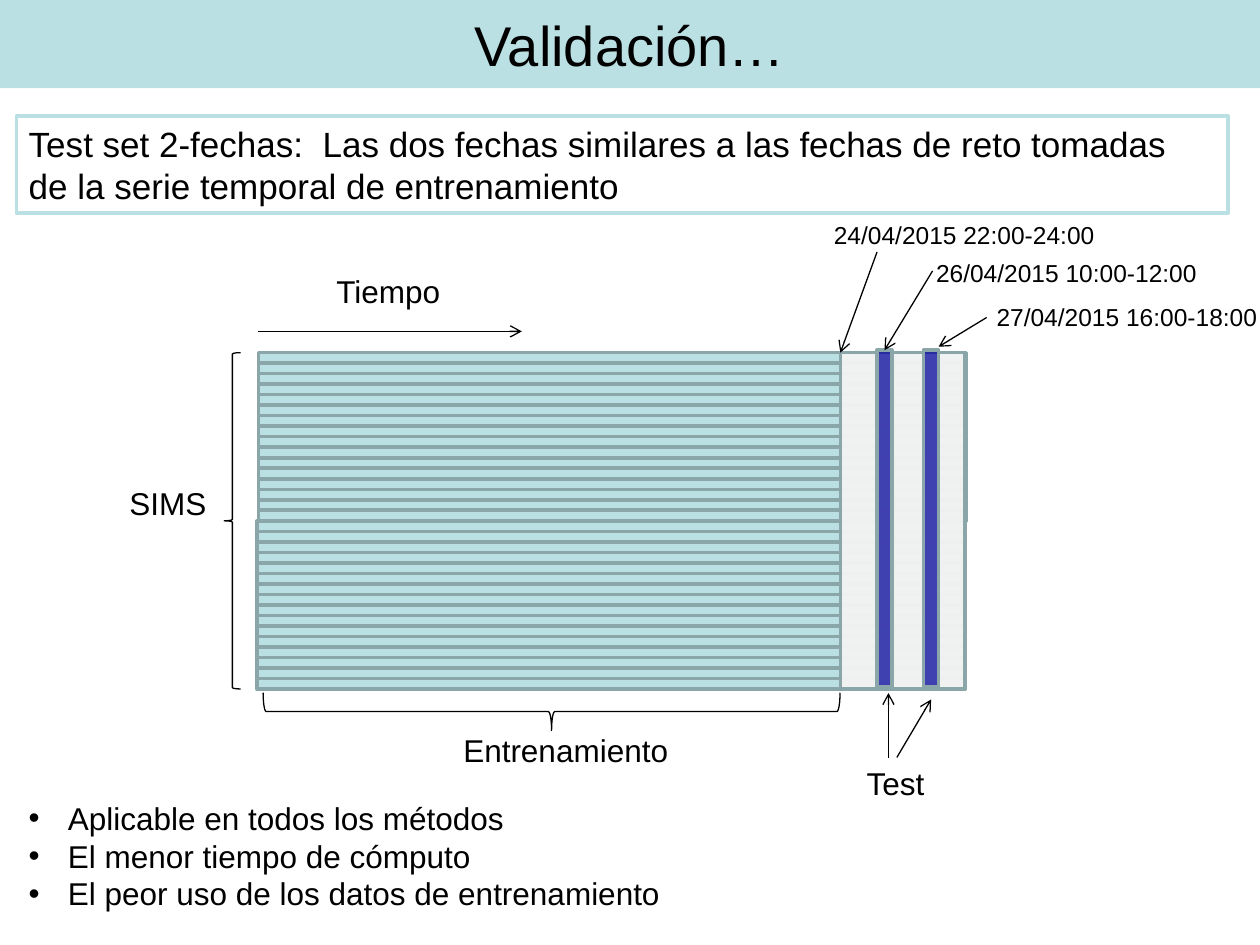
from lxml import etree
from pptx import Presentation
from pptx import util as u
from pptx.dml import color
from pptx.enum import shapes, text
from pptx.oxml import ns

Cm = u.Cm
hues = {"aqua": "BBE0E3", "edge": "8AA6A8", "pale": "F2F2F2",
        "navy": "000099", "black": "000000", "white": "FFFFFF"}


def write(frame, words, size=18, align=text.PP_ALIGN.LEFT, wrap=False, bullet=False):
    frame.word_wrap = wrap
    for n, line in enumerate(words.split("\n")):
        para = frame.add_paragraph() if n else frame.paragraphs[0]
        para.text = line
        para.alignment = align
        if bullet:
            props = para._p.get_or_add_pPr()
            props.set("marL", str(Cm(0.79)))
            props.set("indent", str(-Cm(0.79)))
            etree.SubElement(props, ns.qn("a:buFont")).set("typeface", "Arial")
            etree.SubElement(props, ns.qn("a:buChar")).set("char", "•")
        para.font.size = u.Pt(size)
        para.font.name = "Arial"
        para.font.color.rgb = color.RGBColor.from_string(hues["black"])


def draw(kind, box, fill=None, edge="edge", width=2, alpha=None):
    shape = slide.shapes.add_shape(kind, *map(Cm, box))
    shape.shadow.inherit = False
    if fill:
        shape.fill.solid()
        shape.fill.fore_color.rgb = color.RGBColor.from_string(hues[fill])
    else:
        shape.fill.background()
    if alpha:
        tint = shape._element.spPr.find(ns.qn("a:solidFill"))[0]
        etree.SubElement(tint, ns.qn("a:alpha")).set("val", str(alpha * 1000))
    shape.line.color.rgb = color.RGBColor.from_string(hues[edge])
    shape.line.width = u.Pt(width)
    return shape


deck = Presentation()
deck.slide_width, deck.slide_height = Cm(25.4), Cm(19.05)
slide = deck.slides.add_slide(deck.slide_layouts[5])
rect = shapes.MSO_SHAPE.RECTANGLE
brace = shapes.MSO_SHAPE.LEFT_BRACE

title = slide.shapes.title
title.left, title.top, title.width, title.height = Cm(0), Cm(0), Cm(25.4), Cm(1.78)
title.fill.solid()
title.fill.fore_color.rgb = color.RGBColor.from_string(hues["aqua"])
title.text_frame.vertical_anchor = text.MSO_ANCHOR.MIDDLE
write(title.text_frame, "Validación…", size=32, align=text.PP_ALIGN.CENTER, wrap=True)

intro = draw(rect, (0.33, 2.34, 24.43, 1.96), "white", "aqua")
intro.text_frame.vertical_anchor = text.MSO_ANCHOR.TOP
write(intro.text_frame, "Test set 2-fechas:  Las dos fechas similares a las fechas de reto "
      "tomadas de la serie temporal de entrenamiento", size=20, wrap=True)

top, high, count = 7.11, 6.78, 32
step = high / count
for row in range(count):
    left = 5.21 if row < count / 2 else 5.18
    draw(rect, (left, top + row * step, 14.27, step), "aqua")

draw(brace, (4.52, top, 0.33, high), edge="black", width=0.75)
draw(brace, (10.74, 8.53, 0.76, 11.63), edge="black", width=0.75).rotation = 270

draw(rect, (16.94, top, 2.51, high), "pale", alpha=97)
bars = [draw(rect, (left, 7.06, 0.3, high), "navy", alpha=73) for left in (17.68, 18.62)]

labels = [
    ("Tiempo", 18, (6.53, 5.36, 2.62, 1.02)),
    ("SIMS", 18, (2.36, 9.63, 2.08, 1.02)),
    ("Entrenamiento", 18, (9.09, 14.61, 4.67, 1.02)),
    ("Test", 18, (17.22, 15.27, 1.68, 1.02)),
    ("24/04/2015 22:00-24:00", 14, (16.56, 4.32, 5.79, 0.86)),
    ("26/04/2015 10:00-12:00", 14, (18.62, 5.08, 5.79, 0.86)),
    ("27/04/2015 16:00-18:00", 14, (19.84, 5.97, 5.79, 0.86)),
]
for words, size, box in labels:
    write(slide.shapes.add_textbox(*map(Cm, box)).text_frame, words, size=size)

notes = slide.shapes.add_textbox(*map(Cm, (0.33, 15.98, 13.79, 2.57)))
write(notes.text_frame, "Aplicable en todos los métodos\nEl menor tiempo de cómputo\n"
      "El peor uso de los datos de entrenamiento", bullet=True)

arrows = [
    ((5.21, 6.68, 10.52, 6.68), None),
    ((17.91, 15.29, 17.91, 13.97), None),
    ((18.08, 15.27, 18.77, 14.1), None),
    ((17.68, 5.08, 16.94, 7.11), None),
    ((18.8, 5.46, 17.83, 7.06), bars[0]),
    ((19.89, 6.4, 18.92, 6.99), None),
]
for ends, goal in arrows:
    arrow = slide.shapes.add_connector(shapes.MSO_CONNECTOR.STRAIGHT, *map(Cm, ends))
    if goal:
        arrow.end_connect(goal, 0)
    arrow.line.color.rgb = color.RGBColor.from_string(hues["black"])
    arrow.line.width = u.Pt(0.75)
    etree.SubElement(arrow.line._get_or_add_ln(), ns.qn("a:tailEnd")).set("type", "arrow")
    etree.SubElement(arrow._element.spPr, ns.qn("a:effectLst"))

deck.save("out.pptx")
